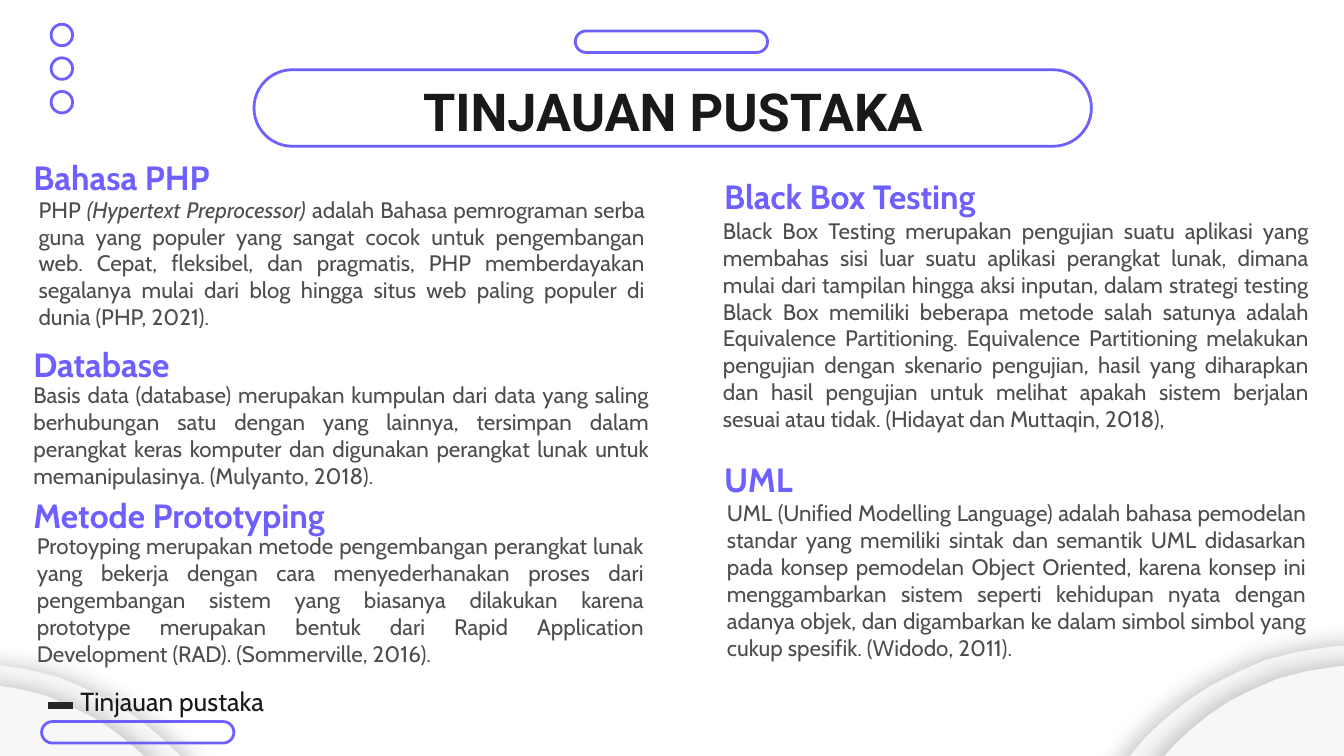
"""Build the literature review slide "Tinjauan Pustaka"."""
from lxml import etree
from pptx import Presentation
from pptx import util as u
from pptx.dml.color import RGBColor
from pptx.enum import shapes, text
from pptx.oxml.ns import qn

COLORS = {"accent": "6E5FFF", "title": "191919", "body": "4D4D4D",
          "dash": "262626", "wave": "F7F7F7", "shadow": "000000"}

HEADINGS = [
    ("Bahasa PHP", (10.8, 80.6, 206.6, 28.8)),
    ("Database", (10.8, 180.9, 206.6, 28.8)),
    ("Metode Prototyping", (10.8, 261.4, 282.2, 28.8)),
    ("Black Box Testing", (380.9, 90.9, 282.2, 28.8)),
    ("UML", (380.9, 242.2, 206.6, 28.8)),
]
BODIES = [
    ([("PHP ", False), ("(Hypertext Preprocessor)", True),
      (" adalah Bahasa pemrograman serba guna yang populer yang sangat cocok untuk "
       "pengembangan web. Cepat, fleksibel, dan pragmatis, PHP memberdayakan segalanya "
       "mulai dari blog hingga situs web paling populer di dunia (PHP, 2021).", False)],
     (13.6, 92.3, 339.2, 97.2)),
    ([("Basis data (database) merupakan kumpulan dari data yang saling berhubungan satu "
       "dengan yang lainnya, tersimpan dalam perangkat keras komputer dan digunakan "
       "perangkat lunak untuk memanipulasinya. (Mulyanto, 2018).", False)],
     (10.8, 200.4, 344.2, 65.5)),
    ([("Protoyping merupakan metode pengembangan perangkat lunak yang bekerja dengan cara "
       "menyederhanakan proses dari pengembangan sistem yang biasanya dilakukan karena "
       "prototype merupakan bentuk dari Rapid Application Development (RAD). "
       "(Sommerville, 2016).", False)],
     (12.7, 293.2, 339.6, 56.2)),
    ([("Black Box Testing merupakan pengujian suatu aplikasi yang membahas sisi luar suatu "
       "aplikasi perangkat lunak, dimana mulai dari tampilan hingga aksi inputan, dalam "
       "strategi testing Black Box memiliki beberapa metode salah satunya adalah "
       "Equivalence Partitioning. Equivalence Partitioning melakukan pengujian dengan "
       "skenario pengujian, hasil yang diharapkan dan hasil pengujian untuk melihat apakah "
       "sistem berjalan sesuai atau tidak. (Hidayat dan Muttaqin, 2018),", False)],
     (380.2, 125.3, 328.3, 97.2)),
    ([("UML (Unified Modelling Language) adalah bahasa pemodelan standar yang memiliki "
       "sintak dan semantik UML didasarkan pada konsep pemodelan Object Oriented, karena "
       "konsep ini menggambarkan sistem seperti kehidupan nyata dengan adanya objek, dan "
       "digambarkan ke dalam simbol simbol yang cukup spesifik. (Widodo, 2011).", False)],
     (382.3, 277.9, 324.7, 65.5)),
]
PILLS = [(308.2, 16.6, 103, 11.5), (136.1, 37.4, 448.6, 41), (22.3, 386.6, 103, 11.5)]
CIRCLE_X, CIRCLE_Y, CIRCLE_SIZE, CIRCLE_STEP = 27.4, 13, 11.5, 18

WAVE = [(260.6, 122.4), (0, 113.8), (2.9, 106.6), (6.5, 97.9), (12.2, 87.8), (19.4, 75.6),
        (29.5, 62.6), (41, 49), (51.1, 39.6), (62.6, 30.2), (75.6, 21.6), (90, 14.4),
        (105.1, 7.9), (122.4, 3.6), (141.1, 0.7), (162, 0), (183.6, 1.4), (207.4, 6.5),
        (233.3, 13.7), (260.6, 23.8)]
WAVE_LAYERS = [(573.1, 345.6, 1), (592.6, 356.4, 0.88)]
MIRROR_SUM, MIRROR_DROP = 709.9, 9.4


def rgb(name):
    return RGBColor.from_string(COLORS[name])


def add_outline(s, kind, box):
    sp = s.shapes.add_shape(kind, *map(u.Pt, box))
    sp.shadow.inherit = False
    sp.fill.background()
    sp.line.color.rgb = rgb("accent")
    sp.line.width = u.Pt(1.5)
    return sp


def add_wave(s, points, direction):
    start, *rest = [(u.Pt(x), u.Pt(y)) for x, y in points]
    builder = s.shapes.build_freeform(*start)
    builder.add_line_segments(rest, close=True)
    sp = builder.convert_to_shape()
    sp.shadow.inherit = False
    sp.fill.solid()
    sp.fill.fore_color.rgb = rgb("wave")
    sp.line.fill.background()
    effects = sp.element.spPr.find(qn("a:effectLst"))
    shadow = etree.SubElement(effects, qn("a:outerShdw"), blurRad=str(u.Pt(11.2)),
                              dist=str(u.Pt(3.8)), dir=str(direction * 60000),
                              algn="bl", rotWithShape="0")
    color = etree.SubElement(shadow, qn("a:srgbClr"), val=COLORS["shadow"])
    etree.SubElement(color, qn("a:alpha"), val="20000")


def add_text(s, runs, box, size, color, font="Cabin", bold=False,
             align=text.PP_ALIGN.LEFT, anchor=text.MSO_ANCHOR.MIDDLE, inset=7.2):
    tf = s.shapes.add_textbox(*map(u.Pt, box)).text_frame
    tf.word_wrap = True
    tf.vertical_anchor = anchor
    tf.margin_top = tf.margin_bottom = u.Pt(inset)
    p = tf.paragraphs[0]
    p.alignment = align
    for words, italic in runs:
        r = p.add_run()
        r.text = words
        r.font.name = font
        r.font.size = u.Pt(size)
        r.font.bold = bold
        r.font.italic = italic
        r.font.color.rgb = rgb(color)


def main():
    prs = Presentation()
    prs.slide_width, prs.slide_height = u.Pt(720), u.Pt(405)
    s = prs.slides.add_slide(prs.slide_layouts[6])

    for i in range(3):
        add_outline(s, shapes.MSO_SHAPE.OVAL,
                    (CIRCLE_X, CIRCLE_Y + i * CIRCLE_STEP, CIRCLE_SIZE, CIRCLE_SIZE))

    for mirrored, direction in ((False, 212), (True, 348)):
        for left, top, scale in WAVE_LAYERS:
            points = [(left + x * scale, top + y * scale) for x, y in WAVE]
            if mirrored:
                points = [(MIRROR_SUM - x, y + MIRROR_DROP) for x, y in points]
            add_wave(s, points, direction)

    for box in PILLS:
        add_outline(s, shapes.MSO_SHAPE.ROUNDED_RECTANGLE, box).adjustments[0] = 0.5

    add_text(s, [("TINJAUAN PUSTAKA", False)], (56.9, 35.3, 607, 45.4), 28, "title",
             "Roboto", True, text.PP_ALIGN.CENTER, text.MSO_ANCHOR.TOP)
    for heading, box in HEADINGS:
        add_text(s, [(heading, False)], box, 18, "accent", bold=True)
    for runs, box in BODIES:
        add_text(s, runs, box, 12, "body", align=text.PP_ALIGN.JUSTIFY)
    add_text(s, [("Tinjauan pustaka", False)], (36, 363.6, 141.1, 24.5), 14, "title",
             anchor=text.MSO_ANCHOR.TOP, inset=3.6)

    dash = s.shapes.add_connector(shapes.MSO_CONNECTOR.STRAIGHT,
                                  *map(u.Pt, (25.9, 378, 38.9, 378)))
    dash.line.color.rgb = rgb("dash")
    dash.line.width = u.Pt(4)
    etree.SubElement(dash.element.spPr, qn("a:effectLst"))

    prs.save("out.pptx")


if __name__ == "__main__":
    main()
